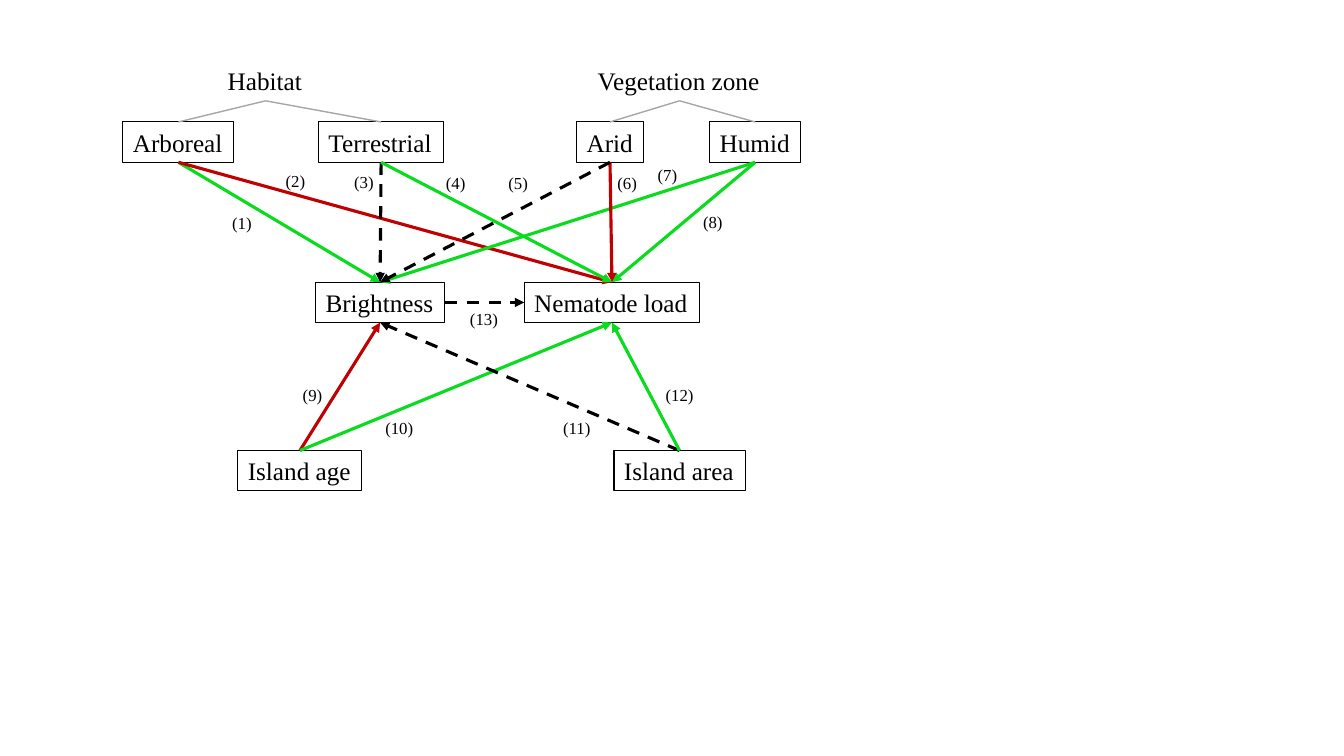
import pptx
import pptx.util
import pptx.dml.color
import pptx.enum.dml
import pptx.enum.shapes
import pptx.enum.text
import pptx.oxml
import pptx.oxml.ns

Inches = pptx.util.Inches
Pt = pptx.util.Pt
ALIGN = pptx.enum.text.PP_ALIGN
FONT = "Times New Roman"
BLACK, GREEN, RED, GRAY = "000000", "0BDB1F", "C00000", "A6A6A6"
TOP, LEFT, BOTTOM, RIGHT = range(4)

BOXES = [
    ("Brightness", 3.13, 2.8, 1.28),
    ("Nematode load", 5.2, 2.8, 1.74),
    ("Arboreal", 1.22, 1.21, 1.1),
    ("Humid", 7.04, 1.21, 0.9),
    ("Island age", 2.36, 4.47, 1.23),
    ("Island area", 6.09, 4.47, 1.3),
    ("Terrestrial", 3.16, 1.21, 1.24),
    ("Arid", 5.72, 1.21, 0.66),
]
HEADS = [
    ("Habitat", 2.16, 0.6, 0.95, ["Arboreal", "Terrestrial"]),
    ("Vegetation zone", 5.83, 0.6, 1.82, ["Arid", "Humid"]),
]
ARROWS = [
    ("Arboreal", BOTTOM, "Brightness", TOP, GREEN),
    ("Arboreal", BOTTOM, "Nematode load", TOP, RED),
    ("Humid", BOTTOM, "Brightness", TOP, GREEN),
    ("Humid", BOTTOM, "Nematode load", TOP, GREEN),
    ("Island age", TOP, "Brightness", BOTTOM, RED),
    ("Island age", TOP, "Nematode load", BOTTOM, GREEN),
    ("Island area", TOP, "Brightness", BOTTOM, BLACK),
    ("Island area", TOP, "Nematode load", BOTTOM, GREEN),
    ("Arid", BOTTOM, "Nematode load", TOP, RED),
    ("Arid", BOTTOM, "Brightness", TOP, BLACK),
    ("Terrestrial", BOTTOM, "Brightness", TOP, BLACK),
    ("Terrestrial", BOTTOM, "Nematode load", TOP, GREEN),
    ("Brightness", RIGHT, "Nematode load", LEFT, BLACK),
]
MARKS = [
    (2.2, 2.06), (2.73, 1.64), (3.41, 1.65), (4.32, 1.66), (4.94, 1.66),
    (6.02, 1.66), (6.42, 1.59), (6.87, 2.05), (2.9, 3.77), (3.72, 4.1),
    (5.48, 4.1), (6.5, 3.77), (4.56, 3.01),
]


def color(code):
    return pptx.dml.color.RGBColor.from_string(code)


def write(shape, text, size, align=ALIGN.LEFT):
    frame = shape.text_frame
    frame.word_wrap = False
    frame.auto_size = pptx.enum.text.MSO_AUTO_SIZE.SHAPE_TO_FIT_TEXT
    para = frame.paragraphs[0]
    para.alignment = align
    run = para.add_run()
    run.text = text
    run.font.name = FONT
    run.font.size = Pt(size)
    run.font.color.rgb = color(BLACK)


def add_box(slide, text, x, y, width):
    rect = pptx.enum.shapes.MSO_SHAPE.RECTANGLE
    box = slide.shapes.add_shape(
        rect, Inches(x), Inches(y), Inches(width), Inches(0.4))
    box.shadow.inherit = False
    box.fill.background()
    box.line.color.rgb = color(BLACK)
    box.line.width = Pt(0.75)
    write(box, text, 18)
    return box


def add_label(slide, text, x, y, width, height, size, align=ALIGN.LEFT):
    label = slide.shapes.add_textbox(
        Inches(x), Inches(y), Inches(width), Inches(height))
    write(label, text, size, align)
    return label


def add_link(slide, start, exit, end, entry, code, width):
    kind = pptx.enum.shapes.MSO_CONNECTOR.STRAIGHT
    link = slide.shapes.add_connector(kind, 0, 0, 0, 0)
    link.begin_connect(start, exit)
    link.end_connect(end, entry)
    link.line.color.rgb = color(code)
    link.line.width = Pt(width)
    props = link._element.spPr
    props.append(pptx.oxml.parse_xml(
        f"<a:effectLst {pptx.oxml.ns.nsdecls('a')}/>"))
    return link


def add_arrow(slide, start, exit, end, entry, code):
    link = add_link(slide, start, exit, end, entry, code, 2.25)
    if code == BLACK:
        link.line.dash_style = pptx.enum.dml.MSO_LINE.DASH
    link.line._get_or_add_ln().append(pptx.oxml.parse_xml(
        f"<a:tailEnd {pptx.oxml.ns.nsdecls('a')} type='triangle'/>"))


def main():
    deck = pptx.Presentation()
    deck.slide_width = Inches(13.33)
    deck.slide_height = Inches(7.5)
    slide = deck.slides.add_slide(deck.slide_layouts[6])
    boxes = {spec[0]: add_box(slide, *spec) for spec in BOXES}
    for start, exit, end, entry, code in ARROWS:
        add_arrow(slide, boxes[start], exit, boxes[end], entry, code)
    for text, x, y, width, names in HEADS:
        head = add_label(slide, text, x, y, width, 0.4, 18)
        for name in names:
            add_link(slide, head, BOTTOM, boxes[name], TOP, GRAY, 1)
    for number, (x, y) in enumerate(MARKS, 1):
        width = 0.4 if number < 10 else 0.48
        add_label(slide, f"({number})", x, y, width, 0.3, 12, ALIGN.CENTER)
    deck.save("out.pptx")


if __name__ == "__main__":
    main()
